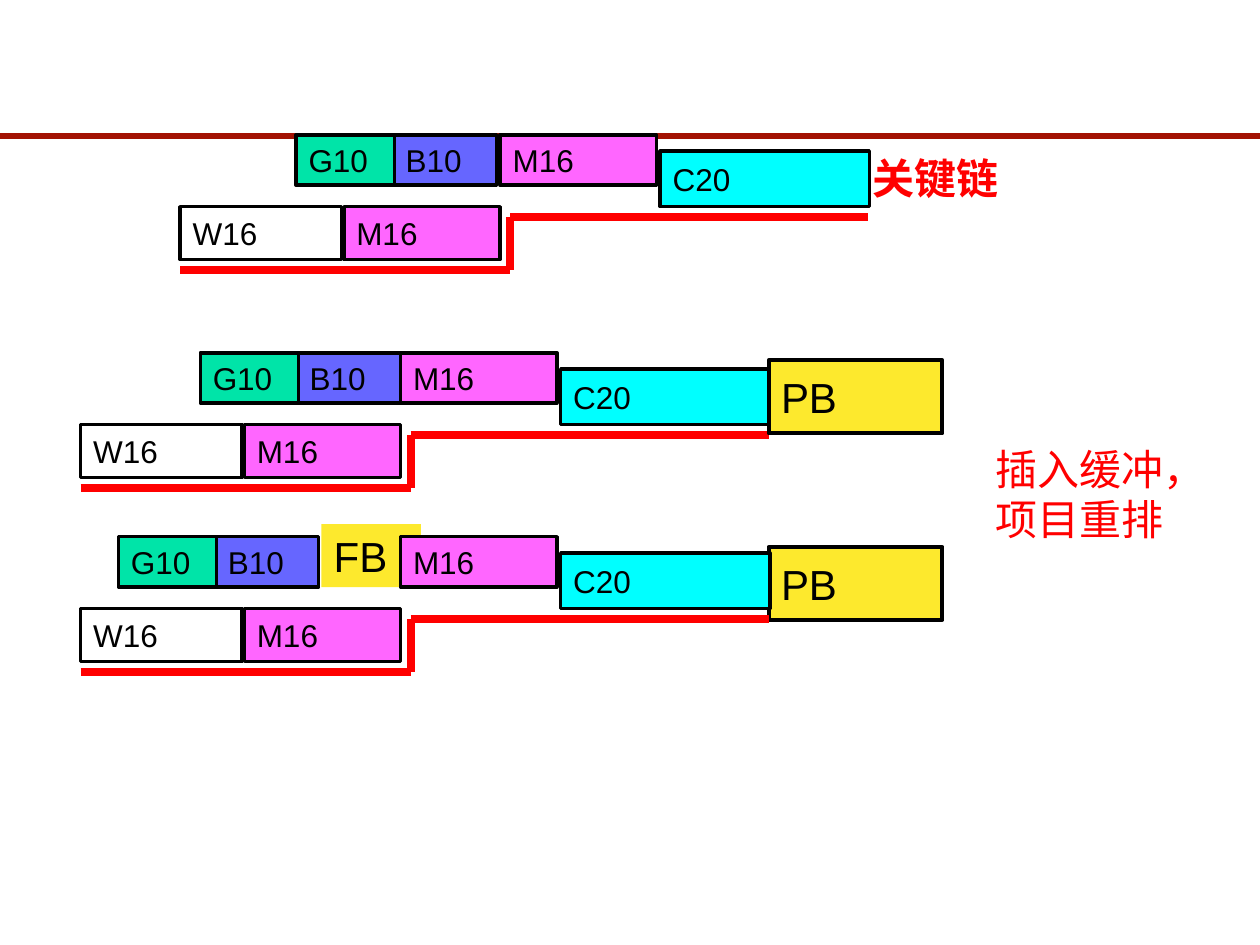
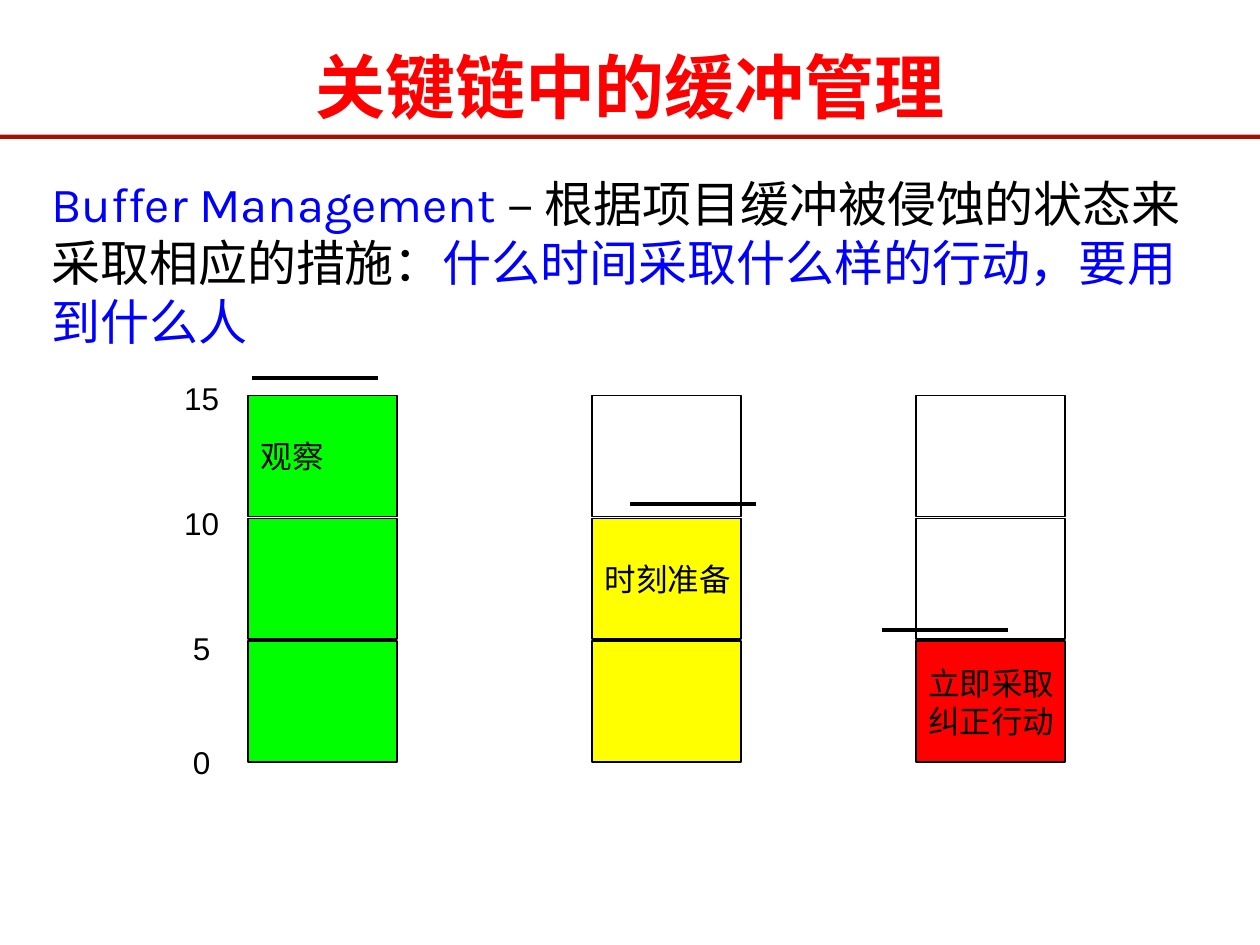
import math

import pptx
import pptx.dml.color
import pptx.enum.shapes
import pptx.enum.text
import pptx.oxml.ns
import pptx.oxml.xmlchemy
import pptx.util
from lxml import etree

Inches = pptx.util.Inches
Pt = pptx.util.Pt
RGBColor = pptx.dml.color.RGBColor
ANCHOR = pptx.enum.text.MSO_ANCHOR
ALIGN = pptx.enum.text.PP_ALIGN
qn = pptx.oxml.ns.qn

BLACK = RGBColor(0x00, 0x00, 0x00)
WHITE = RGBColor(0xFF, 0xFF, 0xFF)
RED = RGBColor(0xFF, 0x00, 0x00)
BLUE = RGBColor(0x00, 0x00, 0xFF)
DARK_RED = RGBColor(0xA3, 0x12, 0x03)
PERIWINKLE = RGBColor(0x66, 0x66, 0xFF)
PINK = RGBColor(0xFF, 0x66, 0xFF)
CYAN = RGBColor(0x00, 0xFF, 0xFF)
MINT = RGBColor(0x00, 0xE4, 0xA8)
BUFFER_YELLOW = RGBColor(0xFD, 0xE9, 0x2D)
GREEN = RGBColor(0x00, 0xFF, 0x00)
YELLOW = RGBColor(0xFF, 0xFF, 0x00)

LATIN_FONT = "Arial"
CHINESE_FONT = "Noto Sans CJK SC"
INTRO_FONT = "Karla"

COLUMN_WIDTH = 1.18
LEVEL_HEIGHT = 0.96
LEVEL_PITCH = 0.975


def style_font(font, size, color, name=LATIN_FONT, bold=False):
    """Set size, colour and typefaces, with the Chinese face for Chinese text."""
    font.size = Pt(size)
    font.bold = bold
    font.color.rgb = color
    font.name = name
    east_asian = etree.SubElement(font._rPr, qn("a:ea"))
    east_asian.set("typeface", CHINESE_FONT)


def write_text(shape, text, size, color=BLACK, name=LATIN_FONT, bold=False,
               wrap=False, anchor=ANCHOR.TOP, align=ALIGN.LEFT):
    """Fill a shape with uniformly styled text, one paragraph per line."""
    frame = shape.text_frame
    frame.text = text
    frame.word_wrap = wrap
    frame.vertical_anchor = anchor
    for paragraph in frame.paragraphs:
        paragraph.alignment = align
        style_font(paragraph.font, size, color, name, bold)


def add_label(slide, box, text, size, **style):
    """Add a text box."""
    label = slide.shapes.add_textbox(*map(Inches, box))
    write_text(label, text, size, **style)
    return label


def add_box(slide, box, fill, line_width=None):
    """Add a filled rectangle, outlined in black when a width is given."""
    shape = slide.shapes.add_shape(
        pptx.enum.shapes.MSO_SHAPE.RECTANGLE, *map(Inches, box))
    shape.shadow.inherit = False
    shape.fill.solid()
    shape.fill.fore_color.rgb = fill
    if line_width:
        shape.line.color.rgb = BLACK
        shape.line.width = Pt(line_width)
    else:
        shape.line.fill.background()
    return shape


def add_line(slide, start, end, color, width):
    """Add a straight line without a shadow."""
    line = slide.shapes.add_connector(
        pptx.enum.shapes.MSO_CONNECTOR.STRAIGHT, *map(Inches, (*start, *end)))
    line.line.color.rgb = color
    line.line.width = Pt(width)
    etree.SubElement(line._element.spPr, qn("a:effectLst"))


def add_ruled_slide(presentation):
    """Add a blank slide with the dark red rule."""
    slide = presentation.slides.add_slide(presentation.slide_layouts[6])
    add_line(slide, (0, 1.08), (10, 1.08), DARK_RED, 3)
    return slide


def add_chain(slide, left, top, feed):
    """Add a task network and its critical path; feed is the start of G10."""
    tasks = [
        ("W16", 0, 0.57, 1.28, 0.42, WHITE),
        ("B10", feed + 0.77, 0, 0.82, 0.4, PERIWINKLE),
        ("M16", 2.54, 0, 1.24, 0.4, PINK),
        ("C20", 3.81, 0.13, 1.66, 0.44, CYAN),
        ("G10", feed, 0, 0.78, 0.4, MINT),
        ("M16", 1.3, 0.57, 1.24, 0.42, PINK),
    ]
    for name, x, y, width, height, color in tasks:
        task = add_box(slide, (left + x, top + y, width, height), color, 2)
        write_text(task, name, 18, anchor=ANCHOR.MIDDLE)
    corners = [(left + x, top + y) for x, y in
               [(0, 1.07), (2.62, 1.07), (2.62, 0.65), (5.46, 0.65)]]
    for start, end in zip(corners, corners[1:]):
        add_line(slide, start, end, RED, 4.5)


def add_project_buffer(slide, left, top):
    """Add a project buffer box."""
    buffer = add_box(slide, (left, top, 1.38, 0.58), BUFFER_YELLOW, 2.25)
    write_text(buffer, "PB", 24, anchor=ANCHOR.MIDDLE)


def add_feeding_buffer(slide, left, top):
    """Add a feeding buffer box."""
    buffer = add_box(slide, (left, top, 0.79, 0.5), BUFFER_YELLOW)
    write_text(buffer, "FB", 24, wrap=True)


def build_chain_slide(presentation):
    """Build the slide that inserts buffers into the critical chain."""
    slide = add_ruled_slide(presentation)
    heading = add_label(slide, (6.83, 1.27, 1.23, 0.38), "关键链", 24,
                        color=RED, name=CHINESE_FONT, bold=True, wrap=True)
    heading.text_frame.paragraphs[0].line_spacing = 0.7
    add_chain(slide, 1.43, 1.07, 0.92)
    add_chain(slide, 0.64, 2.8, 0.95)
    add_project_buffer(slide, 6.1, 2.86)
    add_feeding_buffer(slide, 2.55, 4.16)
    add_project_buffer(slide, 6.1, 4.34)
    add_chain(slide, 0.64, 4.26, 0.3)
    add_label(slide, (7.8, 3.47, 2, 0.9), "插入缓冲，项目重排", 24,
              color=RED, name=CHINESE_FONT, wrap=True)


def add_wave(slide, left, top):
    """Add a water surface of three troughs."""
    points = [(left + 0.039 * step,
               top + 0.06 * abs(math.sin(math.pi * step / 10)))
              for step in range(31)]
    builder = slide.shapes.build_freeform(
        *points[0], scale=float(Inches(1)))
    builder.add_line_segments(points[1:], close=False)
    wave = builder.convert_to_shape()
    wave.shadow.inherit = False
    wave.fill.background()
    wave.line.color.rgb = BLACK
    wave.line.width = Pt(2)


def add_buffer_column(slide, left, top, color, surface, action):
    """Add a three-level column, filled from the surface level down."""
    for level in range(3):
        fill = color if level >= surface else WHITE
        box = (left, top + level * LEVEL_PITCH, COLUMN_WIDTH, LEVEL_HEIGHT)
        cell = add_box(slide, box, fill, 1)
        if level == surface:
            write_text(cell, action, 18, anchor=ANCHOR.MIDDLE)
    add_wave(slide, left + 0.01, top + surface * LEVEL_PITCH - 0.04)


def add_intro(slide, box):
    """Add the paragraph that explains buffer management."""
    frame = slide.shapes.add_textbox(*map(Inches, box)).text_frame
    frame.word_wrap = True
    parts = [
        ("Buffer Management ", INTRO_FONT, BLUE),
        ("– 根据项目缓冲被侵蚀的状态来采取相应的措施：", CHINESE_FONT, BLACK),
        ("什么时间采取什么样的行动，要用到什么人", CHINESE_FONT, BLUE),
    ]
    for text, name, color in parts:
        run = frame.paragraphs[0].add_run()
        run.text = text
        style_font(run.font, 28, color, name)


def build_buffer_slide(presentation):
    """Build the slide on buffer management."""
    slide = add_ruled_slide(presentation)
    add_intro(slide, (0.31, 1.33, 9.37, 1.9))
    columns = [
        (1.97, GREEN, "观察"),
        (4.7, YELLOW, "时刻准备"),
        (7.27, RED, "立即采取\n纠正行动"),
    ]
    for surface, (left, color, action) in enumerate(columns):
        add_buffer_column(slide, left, 3.14, color, surface, action)
    for value, top in [("15", 2.96), ("10", 3.95), ("5", 4.94), ("0", 5.85)]:
        add_label(slide, (1.36, top, 0.48, 0.4), value, 18,
                  align=ALIGN.CENTER)
    title = add_box(slide, (0, 0.3, 10, 0.77), WHITE)
    write_text(title, "关键链中的缓冲管理", 40, color=RED, name=CHINESE_FONT,
               bold=True, wrap=True, align=ALIGN.CENTER)


def main():
    """Build and save the presentation."""
    presentation = pptx.Presentation()
    presentation.slide_width = Inches(10)
    presentation.slide_height = Inches(7.5)
    build_chain_slide(presentation)
    build_buffer_slide(presentation)
    presentation.save("out.pptx")


if __name__ == "__main__":
    main()
